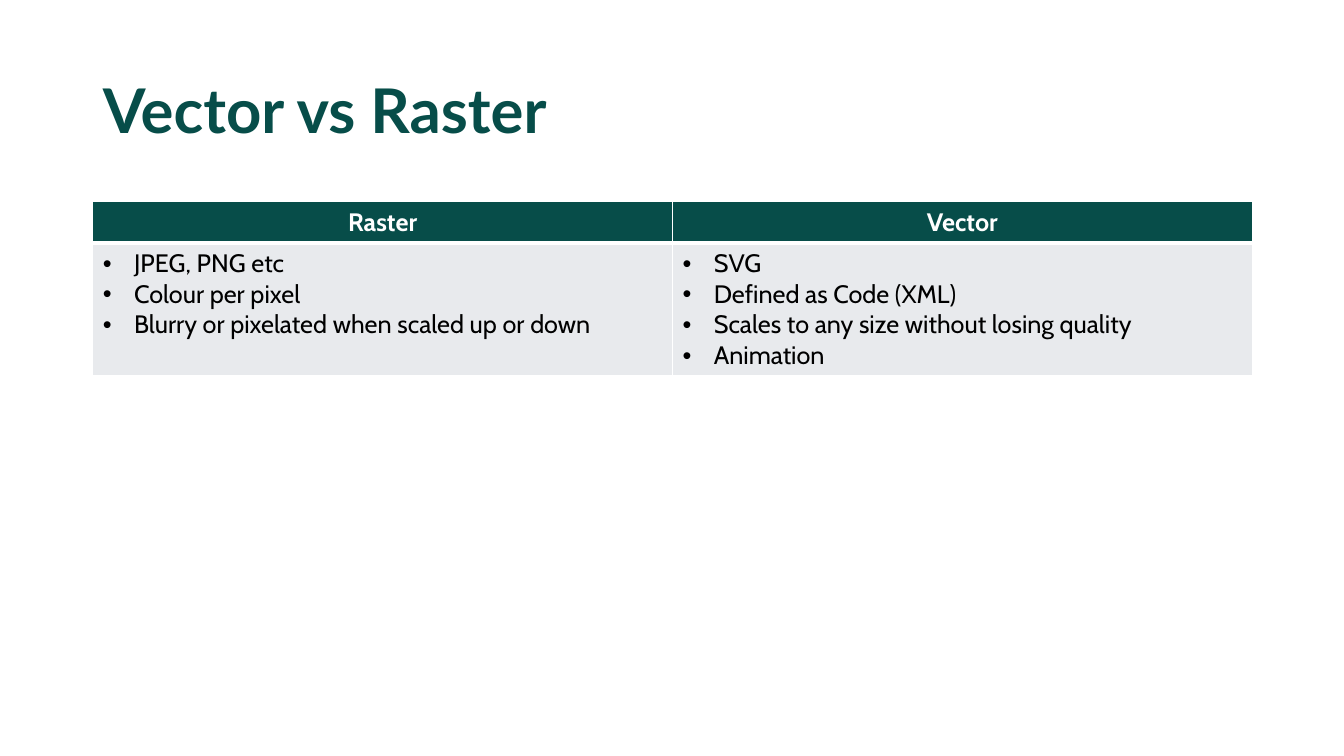
from dataclasses import dataclass

from lxml import etree
from pptx import Presentation, util as u
from pptx.dml.color import RGBColor
from pptx.enum import text
from pptx.oxml import ns

TEAL = RGBColor(0x07, 0x4D, 0x49)
PALE_GREY = RGBColor(0xE8, 0xEA, 0xED)
WHITE = RGBColor(0xFF, 0xFF, 0xFF)
BLACK = RGBColor(0x00, 0x00, 0x00)

SLIDE_WIDTH, SLIDE_HEIGHT = u.Inches(13.33), u.Inches(7.5)
MARGIN = u.Inches(0.92)
CONTENT_WIDTH = u.Inches(11.5)
HEADER_HEIGHT, POINTS_HEIGHT = u.Inches(0.41), u.Inches(1.3)
BULLET_INDENT = u.Inches(0.31)
THIN, THICK = u.Pt(1), u.Pt(3)

TITLE_FONT = {"name": "Lato", "size": u.Pt(44), "bold": True}
HEADER_FONT = {"name": "Cabin", "size": u.Pt(18), "bold": True}
POINT_FONT = {**HEADER_FONT, "bold": False}


@dataclass(frozen=True)
class ImageFormat:
    heading: str
    points: tuple[str, ...]


FORMATS = (
    ImageFormat("Raster", (
        "JPEG, PNG etc",
        "Colour per pixel",
        "Blurry or pixelated when scaled up or down",
    )),
    ImageFormat("Vector", (
        "SVG",
        "Defined as Code (XML)",
        "Scales to any size without losing quality",
        "Animation",
    )),
)


def set_font(font, values: dict, colour: RGBColor) -> None:
    for attribute, value in values.items():
        setattr(font, attribute, value)
    font.color.rgb = colour


def add_borders(cell, top: int, bottom: int) -> None:
    properties = cell._tc.get_or_add_tcPr()
    sides = {"lnL": THIN, "lnR": THIN, "lnT": top, "lnB": bottom}
    for position, (side, width) in enumerate(sides.items()):
        border = etree.Element(ns.qn(f"a:{side}"), w=str(int(width)))
        solid = etree.SubElement(border, ns.qn("a:solidFill"))
        etree.SubElement(solid, ns.qn("a:srgbClr"), val=str(WHITE))
        properties.insert(position, border)


def add_bullet(paragraph) -> None:
    properties = paragraph._p.get_or_add_pPr()
    properties.set("marL", str(int(BULLET_INDENT)))
    properties.set("indent", str(-int(BULLET_INDENT)))
    etree.SubElement(properties, ns.qn("a:buFont"), typeface="Arial")
    etree.SubElement(properties, ns.qn("a:buChar"), char="•")


def fill_cell(cell, lines: tuple[str, ...], fill: RGBColor, values: dict,
              colour: RGBColor, bulleted: bool) -> None:
    cell.fill.solid()
    cell.fill.fore_color.rgb = fill
    cell.text = "\n".join(lines)
    for paragraph in cell.text_frame.paragraphs:
        set_font(paragraph.runs[0].font, values, colour)
        if bulleted:
            add_bullet(paragraph)
        else:
            paragraph.alignment = text.PP_ALIGN.CENTER


def add_title(slide, wording: str) -> None:
    title = slide.shapes.title
    title.left, title.top = MARGIN, u.Inches(0.4)
    title.width, title.height = CONTENT_WIDTH, u.Inches(1.45)
    frame = title.text_frame
    frame.text = wording
    frame.auto_size = text.MSO_AUTO_SIZE.NONE
    frame.vertical_anchor = text.MSO_ANCHOR.MIDDLE
    heading = frame.paragraphs[0]
    heading.alignment = text.PP_ALIGN.LEFT
    heading.line_spacing = 0.9
    set_font(heading.runs[0].font, TITLE_FONT, TEAL)


def add_comparison(slide, formats: tuple[ImageFormat, ...]) -> None:
    comparison = slide.shapes.add_table(
        2, len(formats), MARGIN, u.Inches(2), CONTENT_WIDTH,
        HEADER_HEIGHT + POINTS_HEIGHT).table
    comparison.rows[0].height = HEADER_HEIGHT
    comparison.rows[1].height = POINTS_HEIGHT
    for column, image_format in enumerate(formats):
        header, points = (comparison.cell(row, column) for row in range(2))
        fill_cell(header, (image_format.heading,), TEAL, HEADER_FONT, WHITE, False)
        fill_cell(points, image_format.points, PALE_GREY, POINT_FONT, BLACK, True)
        add_borders(header, THIN, THICK)
        add_borders(points, THICK, THIN)


def main() -> None:
    deck = Presentation()
    deck.slide_width, deck.slide_height = SLIDE_WIDTH, SLIDE_HEIGHT
    slide = deck.slides.add_slide(deck.slide_layouts[5])
    add_title(slide, "Vector vs Raster")
    add_comparison(slide, FORMATS)
    deck.save("out.pptx")


if __name__ == "__main__":
    main()
